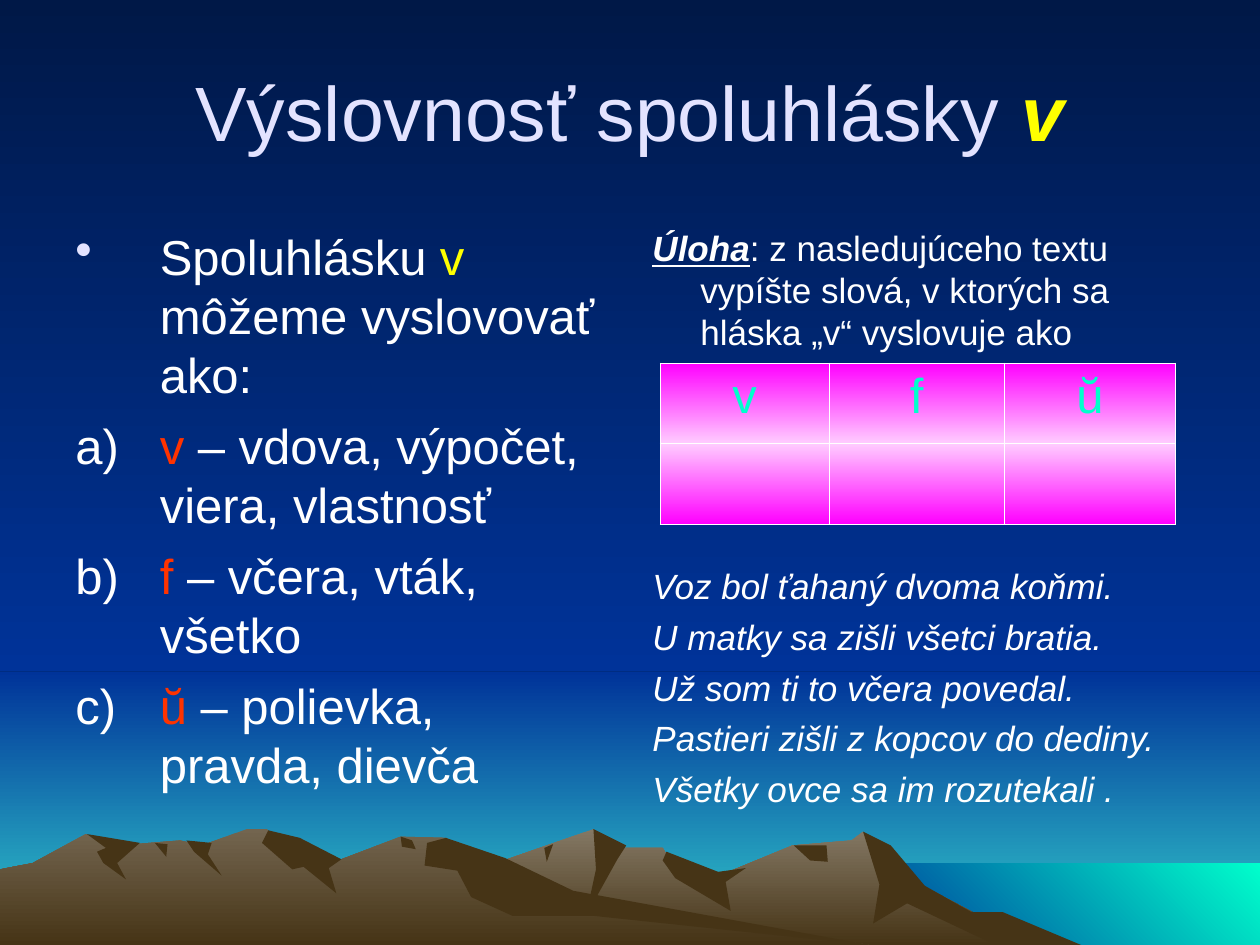
from lxml import etree
from pptx import Presentation
from pptx.dml.color import RGBColor
from pptx.enum.shapes import MSO_SHAPE
from pptx.enum.text import MSO_ANCHOR, PP_ALIGN
from pptx.oxml.ns import qn
from pptx.util import Inches, Pt

RECTANGLE = MSO_SHAPE.RECTANGLE
MIDDLE = MSO_ANCHOR.MIDDLE
CENTER = PP_ALIGN.CENTER
COLORS = {
    "night": "001847", "blue": "003399", "teal": "33CCCC", "aqua": "00FFCC",
    "rock_light": "847864", "rock_mid": "73654F", "rock_dark": "463416",
    "lilac": "E3E3FF", "white": "FFFFFF", "yellow": "FFFF00", "red": "FF3300",
    "magenta": "FF00FF", "pink": "FFCCFF",
}
DOWN = 270  # gradient angles run counter-clockwise


def paint(fill, *names, angle=DOWN):
    """Fill with one plain colour, or with a gradient between two."""
    if len(names) == 1:
        fill.solid()
        fill.fore_color.rgb = RGBColor.from_string(COLORS[names[0]])
        return
    fill.gradient()
    fill.gradient_angle = angle
    for stop, name in zip(fill.gradient_stops, names):
        stop.color.rgb = RGBColor.from_string(COLORS[name])


def add_span(para, text, size=28, color="white", bold=False, italic=False, underline=False):
    span = para.add_run()
    span.text = text
    font = span.font
    font.name, font.size = "Arial", Pt(size)
    font.bold, font.italic, font.underline = bold, italic, underline
    font.color.rgb = RGBColor.from_string(COLORS[color])


deck = Presentation()
deck.slide_width, deck.slide_height = Inches(10), Inches(7.5)
page = deck.slides.add_slide(deck.slide_layouts[6])
paint(page.background.fill, "night", "blue")

# Horizon and sea, over the night sky
for left, top, width, height, names, angle in [
    (0, 0, 10, 5.33, ("night", "blue"), DOWN),
    (0, 5.33, 10, 2.17, ("blue", "teal"), DOWN),
    (6.83, 6.85, 3.17, 0.65, ("blue", "aqua"), 45),
]:
    band = page.shapes.add_shape(RECTANGLE, Inches(left), Inches(top), Inches(width), Inches(height))
    band.shadow.inherit = False
    band.line.fill.background()
    paint(band.fill, *names, angle=angle)

# Mountains and their shaded faces, in hundredths of an inch
SHADE = ("rock_dark",)
mountains = [
    (("rock_light", "rock_dark"), [
        (821, 750), (723, 698), (685, 660), (676, 667), (629, 671), (566, 697), (536, 690),
        (526, 673), (486, 673), (471, 658), (394, 685), (327, 709), (258, 750)]),
    (SHADE, [
        (858, 750), (796, 724), (771, 724), (734, 703), (707, 671), (685, 660), (698, 702),
        (693, 733), (720, 717), (790, 750)]),
    (SHADE, [(471, 658), (473, 690), (465, 727), (490, 682), (497, 671)]),
    (SHADE, [(529, 676), (526, 683), (536, 697), (580, 723), (576, 700), (592, 689), (570, 692)]),
    (SHADE, [(656, 671), (630, 671), (643, 683), (657, 684)]),
    (SHADE, [(432, 673), (439, 670), (434, 684)]),
    (("rock_mid", "rock_dark"), [
        (690, 750), (432, 712), (354, 665), (318, 664), (271, 682), (236, 681), (212, 658),
        (196, 658), (160, 671), (143, 667), (94, 671), (68, 662), (26, 685), (0, 690), (0, 750)]),
    (SHADE, [
        (213, 659), (208, 669), (232, 690), (241, 688), (267, 709), (261, 689), (271, 682),
        (238, 665)]),
    (SHADE, [
        (354, 665), (339, 669), (337, 687), (363, 691), (374, 712), (407, 727), (472, 727),
        (690, 750), (455, 707), (401, 681)]),
    (SHADE, [(318, 664), (327, 667), (330, 674), (319, 672)]),
    (SHADE, [(148, 667), (168, 669), (165, 678), (176, 695), (154, 676)]),
    (SHADE, [(133, 670), (132, 680), (123, 669)]),
    (SHADE, [(69, 662), (111, 669), (93, 685), (100, 698), (82, 685), (77, 676), (84, 673)]),
]
for names, points in mountains:
    builder = page.shapes.build_freeform(*points[0], scale=Inches(0.01))
    builder.add_line_segments(points[1:], close=True)
    face = builder.convert_to_shape()
    face.shadow.inherit = False
    face.line.fill.background()
    paint(face.fill, *names)

# Text boxes
frames = []
for left, top, width, height in [(0.5, 0.25, 9, 1.25), (0.5, 1.75, 4.42, 4.92), (5.08, 1.75, 4.42, 4.92)]:
    box = page.shapes.add_textbox(Inches(left), Inches(top), Inches(width), Inches(height))
    box.text_frame.word_wrap = True
    frames.append(box.text_frame)
title, rules, task = frames

# Title
title.vertical_anchor = MIDDLE
para = title.paragraphs[0]
para.alignment = CENTER
add_span(para, "Výslovnosť spoluhlásky ", size=44, color="lilac")
add_span(para, "v", size=44, color="yellow", bold=True, italic=True)

# Pronunciation rules: a bullet, then a lettered list
for index, spans in enumerate([
    [("Spoluhlásku", "white"), (" v ", "yellow"), ("môžeme vyslovovať ako:", "white")],
    [("v", "red"), (" – vdova, výpočet, viera, vlastnosť", "white")],
    [("f ", "red"), ("– včera, vták, všetko", "white")],
    [("ŭ", "red"), (" – polievka, pravda, dievča", "white")],
]):
    para = rules.add_paragraph() if index else rules.paragraphs[0]
    props = para._p.get_or_add_pPr()
    props.set("marL", str(Inches(0.67)))
    props.set("indent", str(Inches(-0.67)))
    bullet_color = etree.SubElement(props, qn("a:buClr"))
    etree.SubElement(bullet_color, qn("a:srgbClr"), val=COLORS["white" if index else "lilac"])
    if index:
        etree.SubElement(props, qn("a:buAutoNum"), type="alphaLcParenR")
        para.space_before = Pt(7)
    else:
        etree.SubElement(props, qn("a:buChar"), char="•")
    for text, color in spans:
        add_span(para, text, color=color)

# Task, with room for the table before the sentences
para = task.paragraphs[0]
add_span(para, "Úloha", size=20, bold=True, italic=True, underline=True)
add_span(para, ": z nasledujúceho textu vypíšte slová, v ktorých sa hláska „v“ vyslovuje ako", size=20)
for index, sentence in enumerate([
    "Voz bol ťahaný dvoma koňmi.",
    "U matky sa zišli všetci bratia.",
    "Už som ti to včera povedal.",
    "Pastieri zišli z kopcov do dediny.",
    "Všetky ovce sa im rozutekali .",
]):
    para = task.add_paragraph()
    para.space_before = Pt(5 if index else 121)
    add_span(para, sentence, size=20, italic=True)
for para in task.paragraphs:
    props = para._p.get_or_add_pPr()
    props.set("marL", str(Inches(0.38)))
    props.set("indent", str(Inches(-0.38)))

# Answer table
table = page.shapes.add_table(2, 3, Inches(5.24), Inches(2.88), Inches(4.09), Inches(1.28)).table
table.first_row = table.horz_banding = False
for index, (width, letter) in enumerate(zip((1.34, 1.39, 1.36), "vfŭ")):
    table.columns[index].width = Inches(width)
    para = table.cell(0, index).text_frame.paragraphs[0]
    para.alignment = CENTER
    add_span(para, letter, color="aqua")
for row, names in zip(table.rows, [("magenta", "pink"), ("pink", "magenta")]):
    for cell in row.cells:
        paint(cell.fill, *names)
        props = cell._tc.get_or_add_tcPr()
        for place, side in enumerate(("lnL", "lnR", "lnT", "lnB")):
            border = etree.Element(qn("a:" + side), w=str(Pt(0.45)))
            border_fill = etree.SubElement(border, qn("a:solidFill"))
            etree.SubElement(border_fill, qn("a:srgbClr"), val=COLORS["white"])
            props.insert(place, border)

deck.save("out.pptx")
